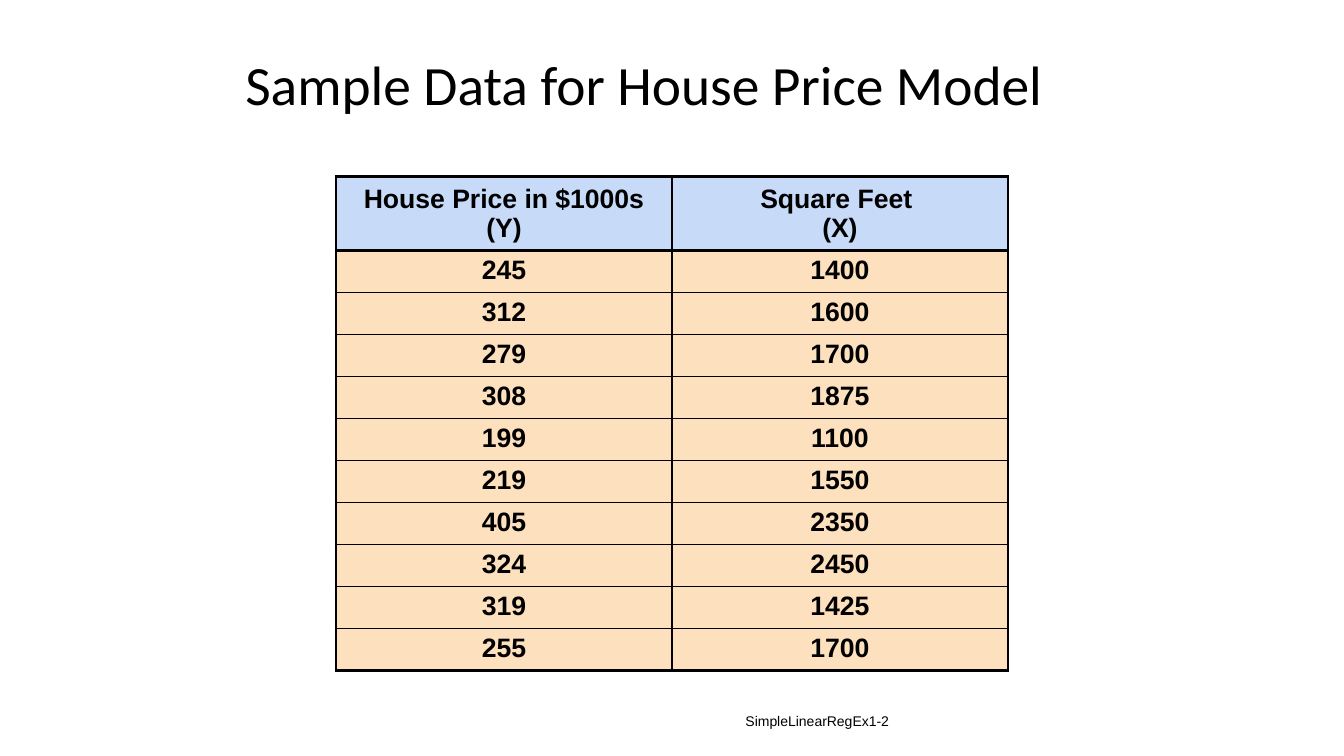
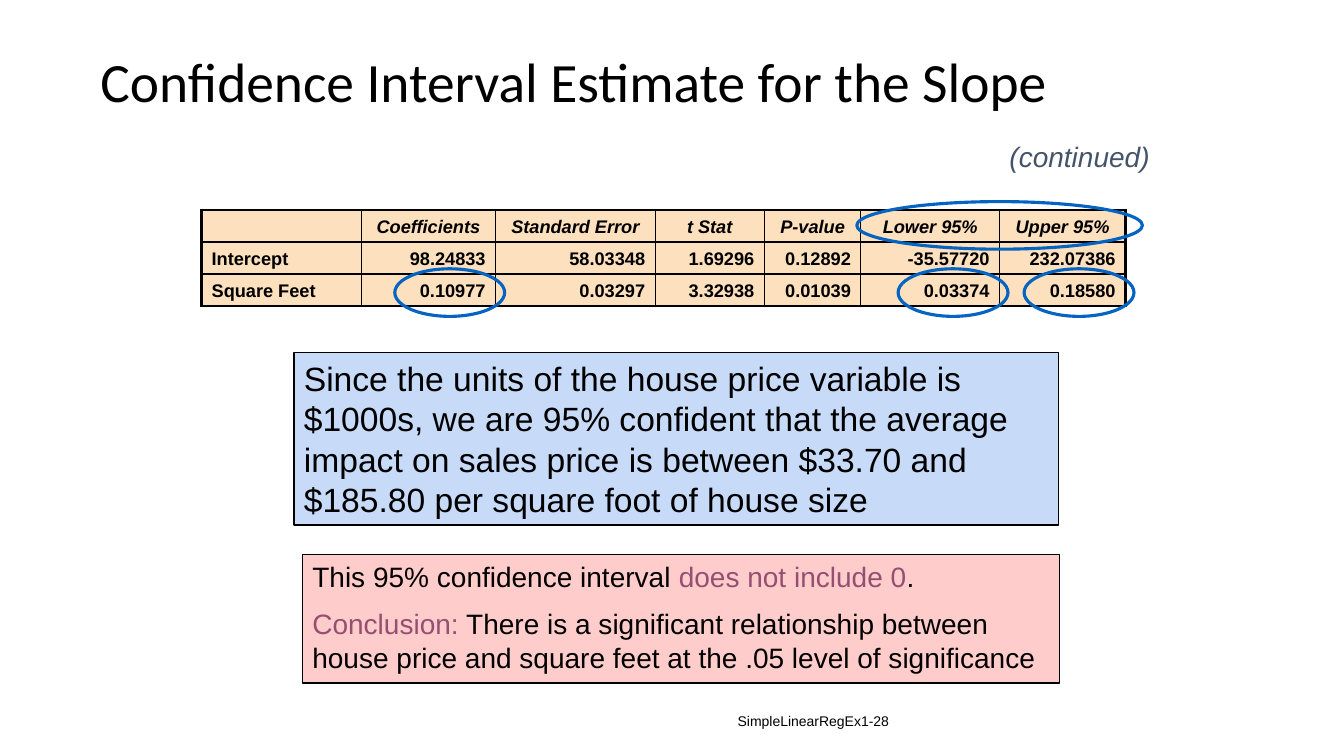
from lxml import etree
from pptx import Presentation
from pptx.dml.color import RGBColor
from pptx.enum.shapes import MSO_SHAPE
from pptx.enum.text import MSO_ANCHOR, MSO_AUTO_SIZE, PP_ALIGN
from pptx.oxml.ns import qn
from pptx.util import Pt

# Colours
BLACK = RGBColor(0x00, 0x00, 0x00)
SKY = RGBColor(0xC7, 0xDA, 0xF7)
PEACH = RGBColor(0xFD, 0xE0, 0xBD)
PINK = RGBColor(0xFF, 0xCC, 0xCC)
PLUM = RGBColor(0x95, 0x4F, 0x72)
SLATE = RGBColor(0x44, 0x54, 0x6A)
RING_BLUE = RGBColor(0x05, 0x63, 0xC1)

# Enum members
LEFT, CENTER, RIGHT = PP_ALIGN.LEFT, PP_ALIGN.CENTER, PP_ALIGN.RIGHT
TOP, MIDDLE, BOTTOM = MSO_ANCHOR.TOP, MSO_ANCHOR.MIDDLE, MSO_ANCHOR.BOTTOM
RECTANGLE, OVAL = MSO_SHAPE.RECTANGLE, MSO_SHAPE.OVAL
NO_AUTOFIT = MSO_AUTO_SIZE.NONE

BODY_FONT, TITLE_FONT = "Arial", "Calibri"
TITLE_ONLY = 5
THICK, THIN = 2.25, 1
FOOTER_BOX = (318, 500.4, 324, 28.8)

HOUSES = [
    (245, 1400), (312, 1600), (279, 1700), (308, 1875), (199, 1100),
    (219, 1550), (405, 2350), (324, 2450), (319, 1425), (255, 1700),
]
REGRESSION = [
    ("", "Coefficients", "Standard Error", "t Stat", "P-value",
     "Lower 95%", "Upper 95%"),
    ("Intercept", "98.24833", "58.03348", "1.69296", "0.12892",
     "-35.57720", "232.07386"),
    ("Square Feet", "0.10977", "0.03297", "3.32938", "0.01039",
     "0.03374", "0.18580"),
]


def points(box):
    return [Pt(value) for value in box]


def add_run(paragraph, text, size, color=BLACK, font=BODY_FONT,
            bold=False, italic=False):
    run = paragraph.add_run()
    run.text = text
    run.font.name, run.font.size = font, Pt(size)
    run.font.bold, run.font.italic = bold, italic
    run.font.color.rgb = color


def next_paragraph(frame, index):
    return frame.add_paragraph() if index else frame.paragraphs[0]


# Parts that both slides share
def add_titled_slide(deck, title, title_box, footer):
    slide = deck.slides.add_slide(deck.slide_layouts[TITLE_ONLY])
    heading = slide.shapes.title
    heading.left, heading.top, heading.width, heading.height = points(title_box)
    frame = heading.text_frame
    frame.auto_size, frame.vertical_anchor = NO_AUTOFIT, MIDDLE
    paragraph = frame.paragraphs[0]
    paragraph.alignment, paragraph.line_spacing = LEFT, 0.8
    add_run(paragraph, title, 39.6, font=TITLE_FONT)
    add_label(slide, FOOTER_BOX, footer, 10, align=RIGHT, anchor=MIDDLE)
    return slide


def add_label(slide, box, text, size, color=BLACK, align=LEFT, anchor=TOP,
              italic=False):
    frame = slide.shapes.add_textbox(*points(box)).text_frame
    frame.word_wrap, frame.vertical_anchor = True, anchor
    frame.paragraphs[0].alignment = align
    add_run(frame.paragraphs[0], text, size, color, italic=italic)


# Tables
def add_grid(slide, corner, widths, heights):
    box = (*corner, sum(widths), sum(heights))
    table = slide.shapes.add_table(len(heights), len(widths), *points(box)).table
    table.first_row = table.horz_banding = False
    for column, width in zip(table.columns, widths):
        column.width = Pt(width)
    for row, height in zip(table.rows, heights):
        row.height = Pt(height)
    return table


def border_cell(cell, widths):
    properties = cell._tc.get_or_add_tcPr()
    for side, width in zip("LRTB", widths):
        line = etree.SubElement(properties, qn(f"a:ln{side}"), w=str(Pt(width)))
        fill = etree.SubElement(line, qn("a:solidFill"))
        etree.SubElement(fill, qn("a:srgbClr"), val=str(BLACK))


def fill_cell(table, row, column, lines, size, fill, align, anchor,
              italic=False, header_rule=THIN):
    """Write one cell; the outer edge of the table is thick."""
    cell = table.cell(row, column)
    last_row, last_column = len(table.rows) - 1, len(table.columns) - 1
    above = {0: THICK, 1: header_rule}.get(row, THIN)
    below = header_rule if row == 0 else THICK if row == last_row else THIN
    border_cell(cell, (THIN if column else THICK,
                       THICK if column == last_column else THIN, above, below))
    cell.fill.solid()
    cell.fill.fore_color.rgb = fill
    cell.vertical_anchor = anchor
    if not any(lines):
        cell.margin_top = cell.margin_bottom = 0
        return
    for index, text in enumerate(lines):
        paragraph = next_paragraph(cell.text_frame, index)
        paragraph.alignment = align
        if index:
            paragraph.line_spacing, paragraph.space_before = 0.8, Pt(3)
        add_run(paragraph, text, size, bold=True, italic=italic)


def add_house_table(slide, corner):
    table = add_grid(slide, corner, [240] * 2, [53] + [30] * len(HOUSES))
    header = [("House Price in $1000s", "(Y)"), ("Square Feet ", "(X)")]
    for column, lines in enumerate(header):
        fill_cell(table, 0, column, lines, 19, SKY, CENTER, MIDDLE,
                  header_rule=THICK)
    for row, house in enumerate(HOUSES, 1):
        for column, value in enumerate(house):
            fill_cell(table, row, column, [str(value)], 19, PEACH, CENTER, TOP,
                      header_rule=THICK)


def add_regression_table(slide, corner):
    table = add_grid(slide, corner, [114, 96, 114, 78, 69, 99, 90], [22.7] * 3)
    for row, values in enumerate(REGRESSION):
        for column, text in enumerate(values):
            align = CENTER if row == 0 else RIGHT if column else LEFT
            fill_cell(table, row, column, [text], 13, PEACH, align, BOTTOM,
                      italic=row == 0)
    # Rings around the slope, its limits and their headings
    left, top = corner
    rings = [(x, 42, 78.5) for x in (138, 497.5, 587.5)] + [(468, -6, 204)]
    for x, y, width in rings:
        ring = slide.shapes.add_shape(
            OVAL, *points((left + x, top + y, width, 34)))
        ring.shadow.inherit = False
        ring.fill.background()
        ring.line.color.rgb, ring.line.width = RING_BLUE, Pt(THICK)


# Statement panels; each paragraph is a list of (text, colour) runs
def add_panel(slide, box, fill, size, paragraphs):
    panel = slide.shapes.add_shape(RECTANGLE, *points(box))
    panel.shadow.inherit = False
    panel.fill.solid()
    panel.fill.fore_color.rgb = fill
    panel.line.color.rgb, panel.line.width = BLACK, Pt(THIN)
    frame = panel.text_frame
    frame.word_wrap, frame.vertical_anchor = True, TOP
    for index, runs in enumerate(paragraphs):
        paragraph = next_paragraph(frame, index)
        paragraph.alignment = LEFT
        if index:
            paragraph.space_before = Pt(size / 2)
        for text, color in runs:
            add_run(paragraph, text, size, color)


def build_data_slide(deck):
    slide = add_titled_slide(deck, "Sample Data for House Price Model",
                             (168, 25, 600, 78), "SimpleLinearRegEx1-2")
    add_house_table(slide, (240, 126))


def build_interval_slide(deck):
    slide = add_titled_slide(deck, "Confidence Interval Estimate for the Slope",
                             (64.5, 19.5, 747, 84), "SimpleLinearRegEx1-28")
    add_label(slide, (714, 96, 116, 31), "(continued)", 20, SLATE, italic=True)
    add_regression_table(slide, (144, 150))
    add_panel(slide, (210, 252, 546, 123), SKY, 24, [[
        ("Since the units of the house price variable is $1000s, we are 95% "
         "confident that the average impact on sales price is between $33.70 "
         "and $185.80 per square foot of house size", BLACK)]])
    add_panel(slide, (216, 396, 541, 92), PINK, 20, [
        [("This 95% confidence interval ", BLACK),
         ("does not include 0", PLUM), (".", BLACK)],
        [("Conclusion:", PLUM),
         (" There is a significant relationship between house price and "
          "square feet at the .05 level of significance", BLACK)]])


def main():
    deck = Presentation()
    deck.slide_width, deck.slide_height = Pt(960), Pt(540)
    build_data_slide(deck)
    build_interval_slide(deck)
    deck.save("out.pptx")


if __name__ == "__main__":
    main()
